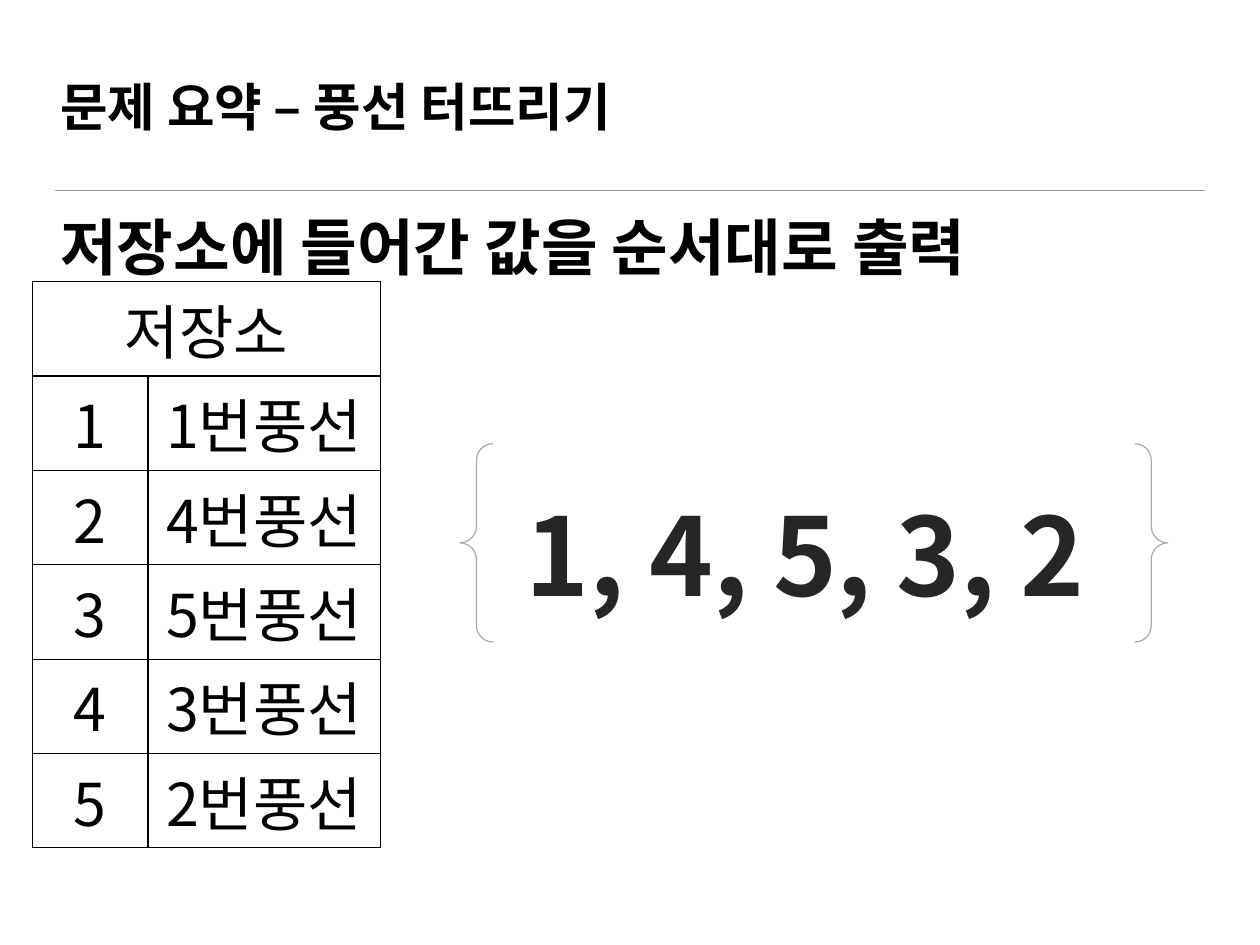
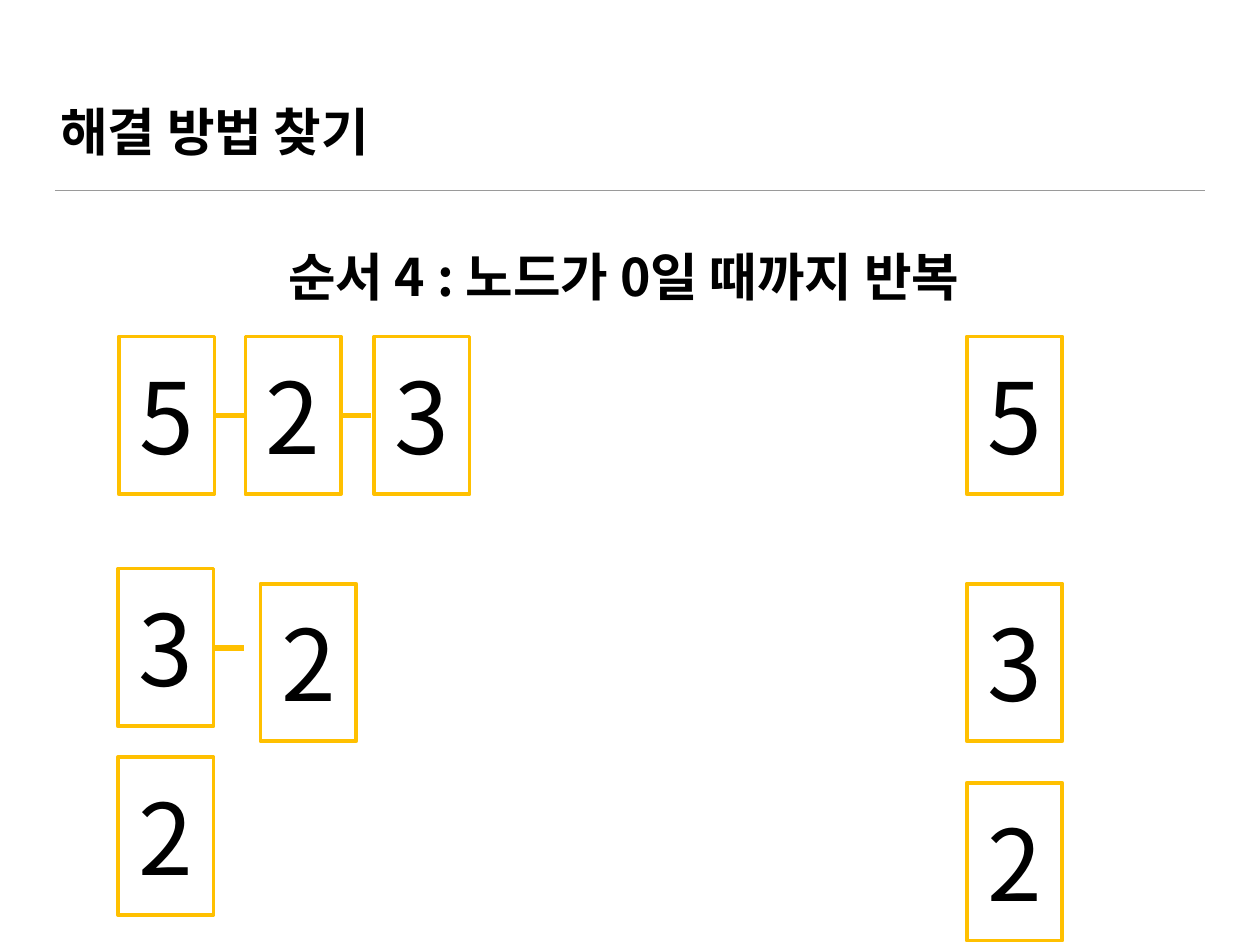
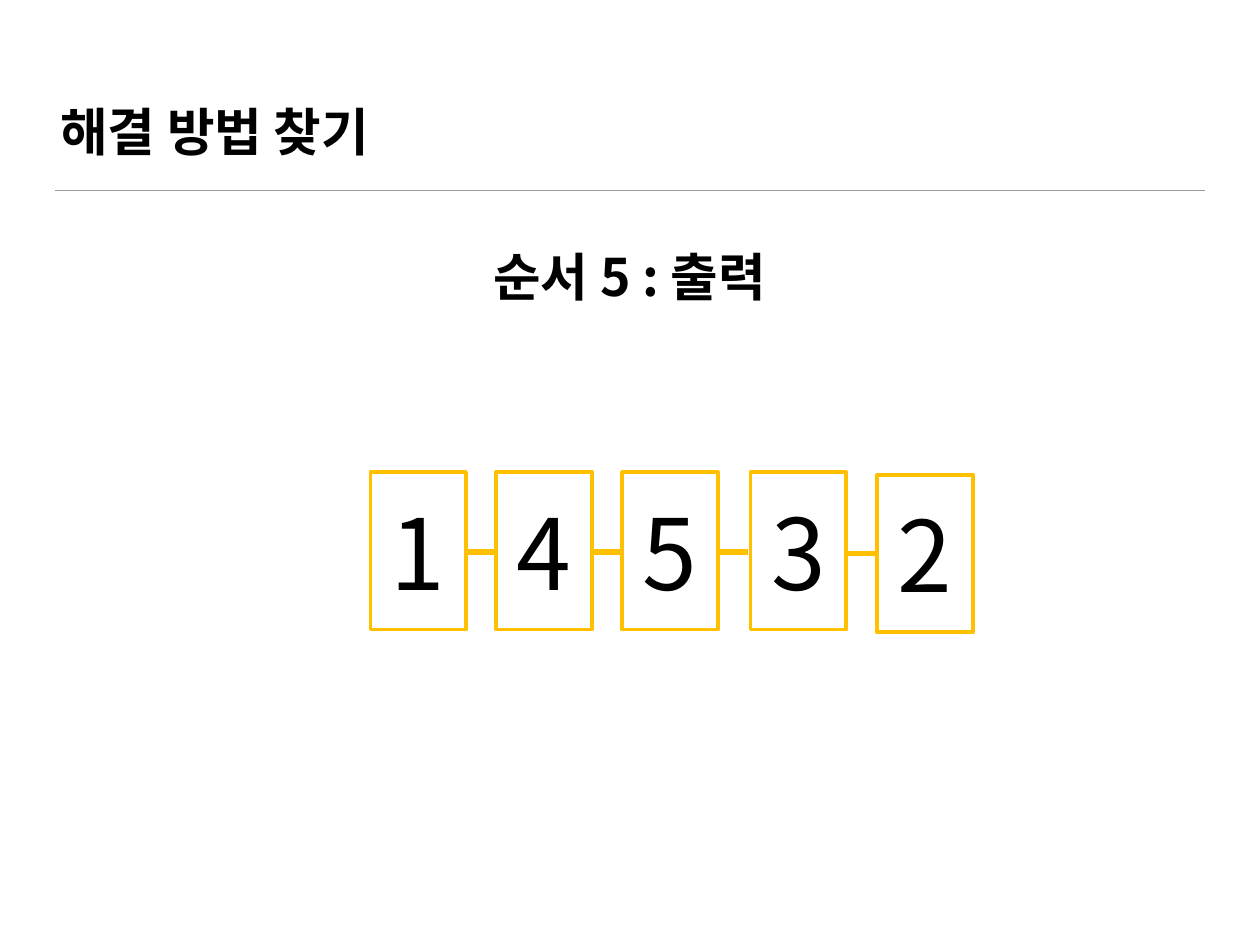
from lxml import etree
from pptx import Presentation
from pptx import util as u
from pptx.dml.color import RGBColor
from pptx.enum import shapes, text
from pptx.oxml import ns

FONT = "Noto Sans CJK KR"
COLORS = {"ink": "000000", "answer": "262626", "rule": "9A9A9A",
          "brace": "ABABAB", "node": "FFC000"}
INSET = 0.06
NODE_WIDTH, NODE_HEIGHT, LINK_LENGTH = 1.08, 1.78, 0.34

SUMMARY = {
    "title": "문제 요약 – 풍선 터뜨리기",
    "heading": "저장소에 들어간 값을 순서대로 출력",
    "store": "저장소",
    "rows": [("1", "1번풍선"), ("2", "4번풍선"), ("3", "5번풍선"),
             ("4", "3번풍선"), ("5", "2번풍선")],
    "answer": "1, 4, 5, 3, 2",
}
# Nodes are (digit, left, top); links are (left, middle).
STEPS = [
    {"title": "해결 방법 찾기",
     "heading": "순서 4 : 노드가 0일 때까지 반복 ",
     "nodes": [("5", 1.34, 3.8), ("2", 2.77, 3.8), ("3", 4.22, 3.8),
               ("3", 1.33, 6.42), ("2", 2.94, 6.59), ("2", 1.33, 8.55),
               ("5", 10.91, 3.8), ("3", 10.91, 6.59), ("2", 10.91, 8.84)],
     "links": [(2.41, 4.69), (3.85, 4.69), (2.41, 7.32)]},
    {"title": "해결 방법 찾기",
     "heading": "순서 5 : 출력",
     "nodes": [("1", 4.18, 5.33), ("4", 5.6, 5.33), ("5", 7.02, 5.33),
               ("3", 8.47, 5.33), ("2", 9.9, 5.36)],
     "links": [(5.26, 6.23), (6.68, 6.23), (8.1, 6.23), (9.53, 6.25)]},
]


def color(name):
    """Return a named colour."""
    return RGBColor.from_string(COLORS[name])


def inches(*lengths):
    """Turn numbers into lengths."""
    return [u.Inches(length) for length in lengths]


def write(frame, words, size, bold=False, align="LEFT", ink="ink"):
    """Write one formatted paragraph in a text frame."""
    paragraph = frame.paragraphs[0]
    paragraph.alignment = getattr(text.PP_ALIGN, align)
    run = paragraph.add_run()
    run.text = words
    for name, value in {"name": FONT, "size": u.Pt(size), "bold": bold}.items():
        setattr(run.font, name, value)
    run.font.color.rgb = color(ink)
    etree.SubElement(run.font._element, ns.qn("a:ea"), typeface=FONT)


def set_frame(frame, anchor="MIDDLE", inset=INSET, wrap=True):
    """Set the anchor, margins and wrapping of a text frame."""
    formats = {"vertical_anchor": getattr(text.MSO_ANCHOR, anchor),
               "word_wrap": wrap, "auto_size": text.MSO_AUTO_SIZE.NONE}
    for side in ("left", "top", "right", "bottom"):
        formats[f"margin_{side}"] = u.Inches(inset)
    for name, value in formats.items():
        setattr(frame, name, value)


def add_text(slide, box, words, size, anchor="MIDDLE", inset=INSET, wrap=True,
             **style):
    """Add a text box."""
    frame = slide.shapes.add_textbox(*inches(*box)).text_frame
    set_frame(frame, anchor, inset, wrap)
    write(frame, words, size, **style)


def add_line(slide, start, end, middle, ink, width):
    """Add a level line without a shadow."""
    line = slide.shapes.add_connector(
        shapes.MSO_CONNECTOR.STRAIGHT, *inches(start, middle, end, middle))
    line.line.color.rgb = color(ink)
    line.line.width = u.Pt(width)
    etree.SubElement(line.element.spPr, ns.qn("a:effectLst"))
    return line


def add_outline(slide, kind, box, ink, width):
    """Add an unfilled preset shape."""
    shape = slide.shapes.add_shape(kind, *inches(*box))
    shape.shadow.inherit = False
    shape.fill.background()
    shape.line.color.rgb = color(ink)
    shape.line.width = u.Pt(width)
    return shape


def add_slide(presentation, title, top):
    """Add a slide with its title in the shared style."""
    slide = presentation.slides.add_slide(presentation.slide_layouts[5])
    shape = slide.shapes.title
    shape.left, shape.top, shape.width, shape.height = inches(0.62, top, 12.97, 1.53)
    set_frame(shape.text_frame, "BOTTOM")
    write(shape.text_frame, title, 42, bold=True)
    return slide


def set_borders(cell):
    """Draw the four borders of a table cell."""
    properties = cell._tc.get_or_add_tcPr()
    for position, side in enumerate(("lnL", "lnR", "lnT", "lnB")):
        border = etree.Element(ns.qn(f"a:{side}"), w=str(u.Pt(1)))
        fill = etree.SubElement(border, ns.qn("a:solidFill"))
        etree.SubElement(fill, ns.qn("a:srgbClr"), val=COLORS["ink"])
        properties.insert(position, border)


def add_store(slide, heading, rows):
    """Add the store table with a merged heading row."""
    row_height, widths = 1.06, (1.3, 2.62)
    records = [(heading, ""), *rows]
    table = slide.shapes.add_table(
        len(records), 2,
        *inches(0.37, 3.18, sum(widths), row_height * len(records))).table
    table.first_row = table.horz_banding = False
    for column, width in zip(table.columns, widths):
        column.width = u.Inches(width)
    table.cell(0, 0).merge(table.cell(0, 1))
    for row, record in enumerate(records):
        for column, words in enumerate(record):
            cell = table.cell(row, column)
            cell.fill.background()
            cell.vertical_anchor = text.MSO_ANCHOR.MIDDLE
            set_borders(cell)
            if words:
                write(cell.text_frame, words, 48, align="CENTER")


def build_summary(presentation):
    """Build the summary slide and put the shared rule on the layout."""
    slide = add_slide(presentation, SUMMARY["title"], 0.08)
    rule = add_line(slide, 0.62, 13.6, 2.15, "rule", 1)
    slide.slide_layout.shapes.element.append(rule.element)
    add_store(slide, SUMMARY["store"], SUMMARY["rows"])
    add_text(slide, (0.62, 2.3, 11.41, 0.95), SUMMARY["heading"], 50, bold=True)
    add_outline(slide, shapes.MSO_SHAPE.DOUBLE_BRACE, (5.19, 5.01, 7.99, 2.24),
                "brace", 1)
    add_text(slide, (5.83, 5.46, 6.51, 1.58), SUMMARY["answer"], 88, "TOP", 0.05,
             wrap=False, bold=True, align="CENTER", ink="answer")


def build_step(presentation, step):
    """Build a slide of linked nodes."""
    slide = add_slide(presentation, step["title"], 0.36)
    add_text(slide, (0.62, 2.46, 12.97, 1.06), step["heading"], 42, "BOTTOM",
             bold=True, align="CENTER")
    for digit, left, top in step["nodes"]:
        node = add_outline(slide, shapes.MSO_SHAPE.RECTANGLE,
                           (left, top, NODE_WIDTH, NODE_HEIGHT), "node", 3)
        set_frame(node.text_frame)
        write(node.text_frame, digit, 80, align="CENTER")
    for left, middle in step["links"]:
        add_line(slide, left, left + LINK_LENGTH, middle, "node", 4.5)


presentation = Presentation()
presentation.slide_width, presentation.slide_height = inches(14.22, 10.67)
build_summary(presentation)
for step in STEPS:
    build_step(presentation, step)
presentation.save("out.pptx")
